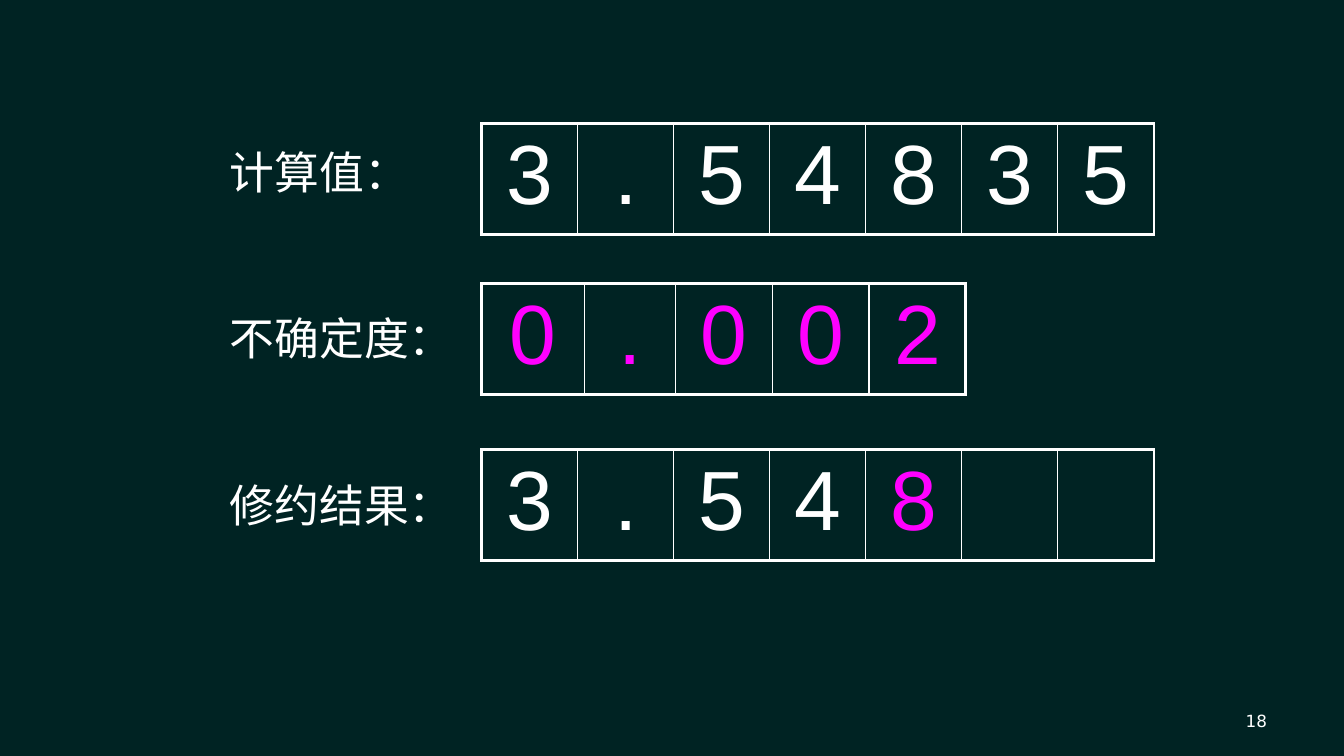
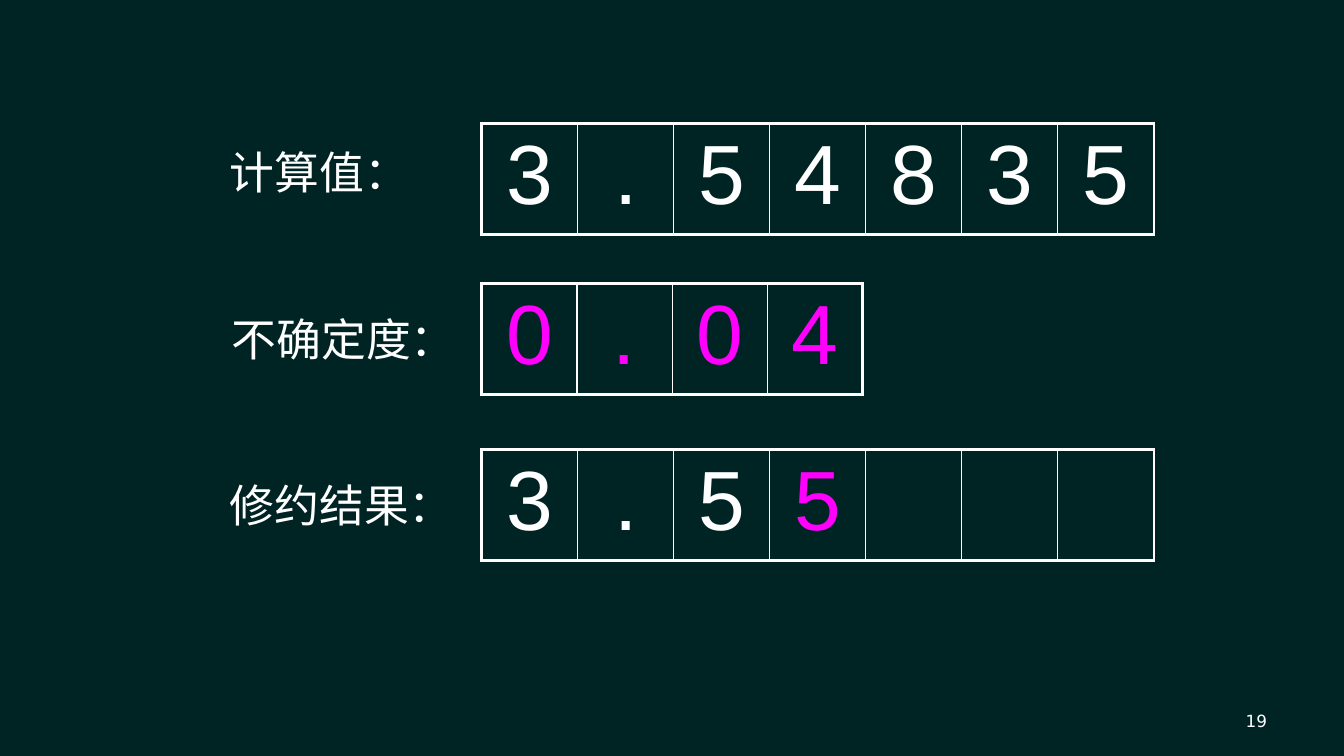
from lxml import etree
from pptx import Presentation
from pptx.dml.color import RGBColor
from pptx.enum.text import MSO_ANCHOR as Anchor, PP_ALIGN as Align
from pptx.oxml.ns import qn
from pptx.util import Cm, Pt

COLORS = {"background": "002323", "text": "FFFFFF", "accent": "FF00FF"}
CELL_W, CELL_H = 2.42, 2.79
LABEL_H = 1.63
TABLE_LEFT = 12.14
ROW_TOPS = (3.12, 7.14, 11.33)
OUTER, INNER = 2.25, 1


def rgb(name):
    return RGBColor.from_string(COLORS[name])


def style_run(r, size, font, color="text"):
    r.font.size, r.font.name = Pt(size), font
    r.font.color.rgb = rgb(color)


def add_text(s, box, text, size, font, align=Align.LEFT, anchor=Anchor.TOP):
    tf = s.shapes.add_textbox(*map(Cm, box)).text_frame
    tf.word_wrap = True
    tf.vertical_anchor = anchor
    p = tf.paragraphs[0]
    p.text, p.alignment = text, align
    style_run(p.runs[0], size, font)


def set_borders(cell, **widths):
    """Draw the sides L, R, T, B (in this order) with widths in points."""
    tc_pr = cell._tc.get_or_add_tcPr()
    for side, width in widths.items():
        ln = etree.SubElement(tc_pr, qn(f"a:ln{side}"), w=str(Pt(width)))
        fill = etree.SubElement(ln, qn("a:solidFill"))
        etree.SubElement(fill, qn("a:srgbClr"), val=COLORS["text"])


def add_digits(s, left, top, digits, widths, accents):
    """Place one character per cell; accents holds the coloured positions."""
    last = len(widths) - 1
    table = s.shapes.add_table(1, len(widths), Cm(left), Cm(top),
                               Cm(sum(widths)), Cm(CELL_H)).table
    table.first_row = table.horz_banding = False
    for i, width in enumerate(widths):
        table.columns[i].width = Cm(width)
        cell = table.cell(0, i)
        set_borders(cell, L=INNER if i else OUTER,
                    R=INNER if i < last else OUTER, T=OUTER, B=OUTER)
        cell.fill.background()
        if i < len(digits):
            p = cell.text_frame.paragraphs[0]
            p.text, p.alignment = digits[i], Align.CENTER
            style_run(p.runs[0], 60, "Arial",
                      "accent" if i in accents else "text")


def add_rounding_slide(prs, number, uncertainty, uncertainty_widths,
                       uncertainty_label, result):
    s = prs.slides.add_slide(prs.slide_layouts[6])
    s.background.fill.solid()
    s.background.fill.fore_color.rgb = rgb("background")
    add_text(s, (24.28, 17.65, 7.9, 1.02), str(number), 12, "DejaVu Sans",
             Align.RIGHT, Anchor.MIDDLE)

    full = [CELL_W] * 7
    rows = (
        ("计算值：", (5.54, 3.53, 5.99), "3.54835", full, ()),
        ("不确定度：", uncertainty_label, uncertainty, uncertainty_widths,
         range(len(uncertainty))),
        ("修约结果：", (5.54, 11.91, 7.21), result, full, (len(result) - 1,)),
    )
    for top, (label, box, digits, widths, accents) in zip(ROW_TOPS, rows):
        add_text(s, (*box, LABEL_H), label, 32, "Calibri")
        add_digits(s, TABLE_LEFT, top, digits, widths, accents)


def main():
    prs = Presentation()
    prs.slide_width, prs.slide_height = Cm(33.87), Cm(19.05)
    add_rounding_slide(prs, 18, "0.002", [2.59, 2.29, 2.44, 2.44, 2.44],
                       (5.54, 7.7, 6.6), "3.548")
    add_rounding_slide(prs, 19, "0.04", [2.4] * 4, (5.59, 7.72, 6.6), "3.55")
    prs.save("out.pptx")


if __name__ == "__main__":
    main()
